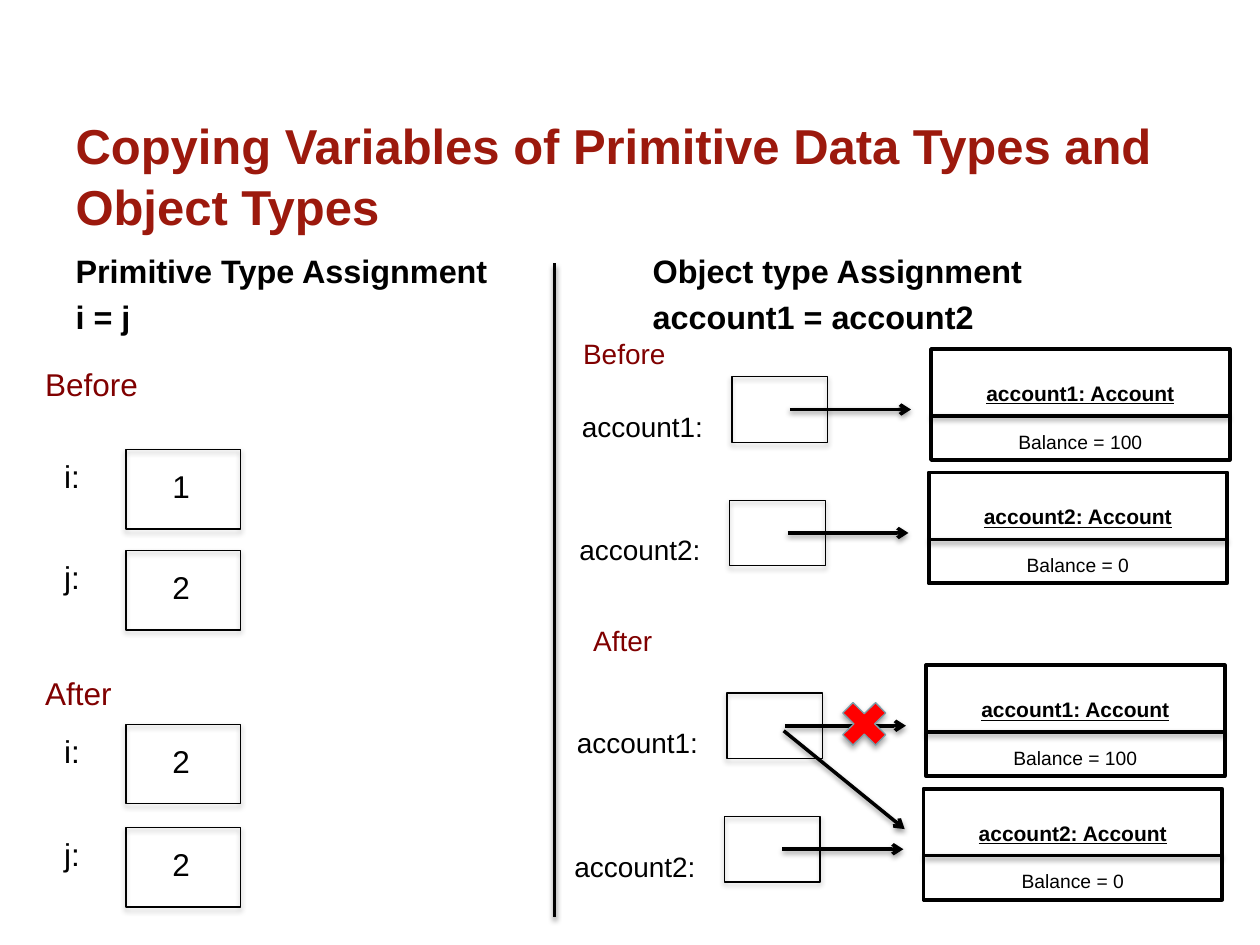
from lxml import etree
from pptx import Presentation
from pptx.dml.color import RGBColor
from pptx.enum.shapes import MSO_CONNECTOR, MSO_SHAPE
from pptx.enum.text import MSO_ANCHOR, MSO_AUTO_SIZE, PP_ALIGN
from pptx.oxml.ns import qn
from pptx.util import Inches, Pt

STRAIGHT = MSO_CONNECTOR.STRAIGHT
RECTANGLE, CROSS = MSO_SHAPE.RECTANGLE, MSO_SHAPE.MATH_MULTIPLY
TOP, BOTTOM = MSO_ANCHOR.TOP, MSO_ANCHOR.BOTTOM
LEFT, CENTER = PP_ALIGN.LEFT, PP_ALIGN.CENTER
NO_AUTOFIT = MSO_AUTO_SIZE.NONE

BLACK = RGBColor(0x00, 0x00, 0x00)
TITLE_RED = RGBColor(0x9C, 0x19, 0x0D)
DARK_RED = RGBColor(0x80, 0x00, 0x00)
CROSS_RED = RGBColor(0xFF, 0x00, 0x00)
CROSS_EDGE = RGBColor(0x7B, 0x9E, 0xA9)
FONT = "Arial"


def set_font(paragraph, size, color=BLACK, **extra):
    values = {"name": FONT, "size": Pt(size), **extra}
    for run in paragraph.runs:
        for name, value in values.items():
            setattr(run.font, name, value)
        run.font.color.rgb = color


def place(shape, left, top, width, height):
    box = {"left": left, "top": top, "width": width, "height": height}
    for name, value in box.items():
        setattr(shape, name, Inches(value))


def add_shadow(shape, opacity):
    """Soft shadow straight below the shape."""
    properties = shape._element.spPr
    effects = etree.SubElement(properties, qn("a:effectLst"))
    shadow = etree.SubElement(
        effects, qn("a:outerShdw"), blurRad=str(Pt(3.1)),
        dist=str(Pt(1.7)), dir="5400000", rotWithShape="0")
    color = etree.SubElement(shadow, qn("a:srgbClr"), val="000000")
    etree.SubElement(color, qn("a:alpha"), val=str(opacity * 1000))


def fill_placeholder(placeholder, box, lines, size, color, anchor):
    place(placeholder, *box)
    frame = placeholder.text_frame
    frame.text = "\n".join(lines)
    frame.auto_size = NO_AUTOFIT
    frame.vertical_anchor = anchor
    for index, paragraph in enumerate(frame.paragraphs):
        paragraph.alignment = LEFT
        paragraph.space_before = Pt(4.4 if index else 0)
        set_font(paragraph, size, color, bold=True)


def add_label(slide, left, top, text, size=18, color=BLACK):
    label = slide.shapes.add_textbox(
        Inches(left), Inches(top), Inches(1.42), Inches(0.4))
    frame = label.text_frame
    frame.word_wrap = True
    frame.text = text
    set_font(frame.paragraphs[0], size, color)


def add_box(slide, left, top, width, height, line_width):
    box = slide.shapes.add_shape(
        RECTANGLE, Inches(left), Inches(top), Inches(width), Inches(height))
    box.fill.background()
    box.line.color.rgb = BLACK
    box.line.width = Pt(line_width)
    return box


def add_line(slide, start, end, arrow=False):
    points = [Inches(value) for value in (*start, *end)]
    line = slide.shapes.add_connector(STRAIGHT, *points)
    line.line.color.rgb = BLACK
    line.line.width = Pt(2)
    if arrow:
        etree.SubElement(line.line._get_or_add_ln(), qn("a:tailEnd"), type="arrow")
    add_shadow(line, 38)


def add_primitive(slide, top, name, value):
    """Variable name beside a box that holds its value."""
    add_label(slide, 0.41, top + 0.01, name)
    add_shadow(add_box(slide, 1, top, 0.91, 0.63, 0.75), 35)
    add_label(slide, 1.27, top + 0.09, value)


def add_reference(slide, left, top, name, balance):
    """Reference variable with an arrow to its object."""
    object_left = left + 2.87
    add_label(slide, left, top + 0.43, f"{name}:", 16)
    add_shadow(add_box(slide, left + 1.29, top + 0.22, 0.76, 0.52, 0.75), 35)

    account = add_box(slide, object_left, top, 2.37, 0.88, 2.25)
    account.shadow.inherit = False
    frame = account.text_frame
    frame.vertical_anchor = TOP
    frame.margin_top = Inches(0.25)
    frame.text = f"{name}: Account\nBalance = {balance}"
    heading, detail = frame.paragraphs
    heading.alignment = detail.alignment = CENTER
    detail.space_before = Pt(13.8)
    set_font(heading, 12, bold=True, underline=True)
    set_font(detail, 11)

    arrow_y, divider_y = top + 0.48, top + 0.53
    add_line(slide, (left + 1.75, arrow_y), (left + 2.71, arrow_y), arrow=True)
    add_line(slide, (object_left, divider_y), (object_left + 2.37, divider_y))


def add_cross(slide):
    cross = slide.shapes.add_shape(
        CROSS, Inches(6.61), Inches(5.5), Inches(0.5), Inches(0.49))
    cross.fill.solid()
    cross.fill.fore_color.rgb = CROSS_RED
    cross.line.color.rgb = CROSS_EDGE
    cross.line.width = Pt(0.75)
    add_shadow(cross, 35)


def main():
    presentation = Presentation()
    presentation.slide_width, presentation.slide_height = Inches(10), Inches(7.5)
    slide = presentation.slides.add_slide(presentation.slide_layouts[4])

    # Title and column headings
    holders = {holder.placeholder_format.idx: holder for holder in slide.placeholders}
    fill_placeholder(
        holders[0], (0.5, 0.84, 9, 1.25),
        ["Copying Variables of Primitive Data Types and Object Types"],
        28, TITLE_RED, TOP)
    holders[0].text_frame.paragraphs[0].line_spacing = 1.05
    columns = [
        (1, 0.5, ["Primitive Type Assignment", "i = j"]),
        (3, 5.08, ["Object type Assignment", "account1 = account2"]),
    ]
    for index, left, lines in columns:
        fill_placeholder(
            holders[index], (left, 2.02, 4.42, 0.7), lines, 18.5, BLACK, BOTTOM)
    for index in (2, 4):
        element = holders[index]._element
        element.getparent().remove(element)

    # Column divider and stage labels
    add_line(slide, (4.4, 2.09), (4.4, 7.28))
    stages = [
        (0.26, 2.85, "Before", 18), (0.26, 5.3, "After", 18),
        (4.53, 2.62, "Before", 16), (4.61, 4.9, "After", 16),
    ]
    for left, top, text, size in stages:
        add_label(slide, left, top, text, size, DARK_RED)

    # Primitive variables
    primitives = [(3.57, "i:", "1"), (4.37, "j:", "2"),
                  (5.75, "i:", "2"), (6.57, "j:", "2")]
    for top, name, value in primitives:
        add_primitive(slide, top, name, value)

    # Object references, each row slightly further left
    accounts = [("account1", 100), ("account2", 0)]
    for row, top in enumerate((2.77, 3.75, 5.28, 6.26)):
        add_reference(slide, 4.52 - 0.02 * row, top, *accounts[row % 2])

    # Broken reference and its new target
    add_cross(slide)
    add_line(slide, (6.22, 5.8), (7.18, 6.58), arrow=True)

    presentation.save("out.pptx")


if __name__ == "__main__":
    main()
